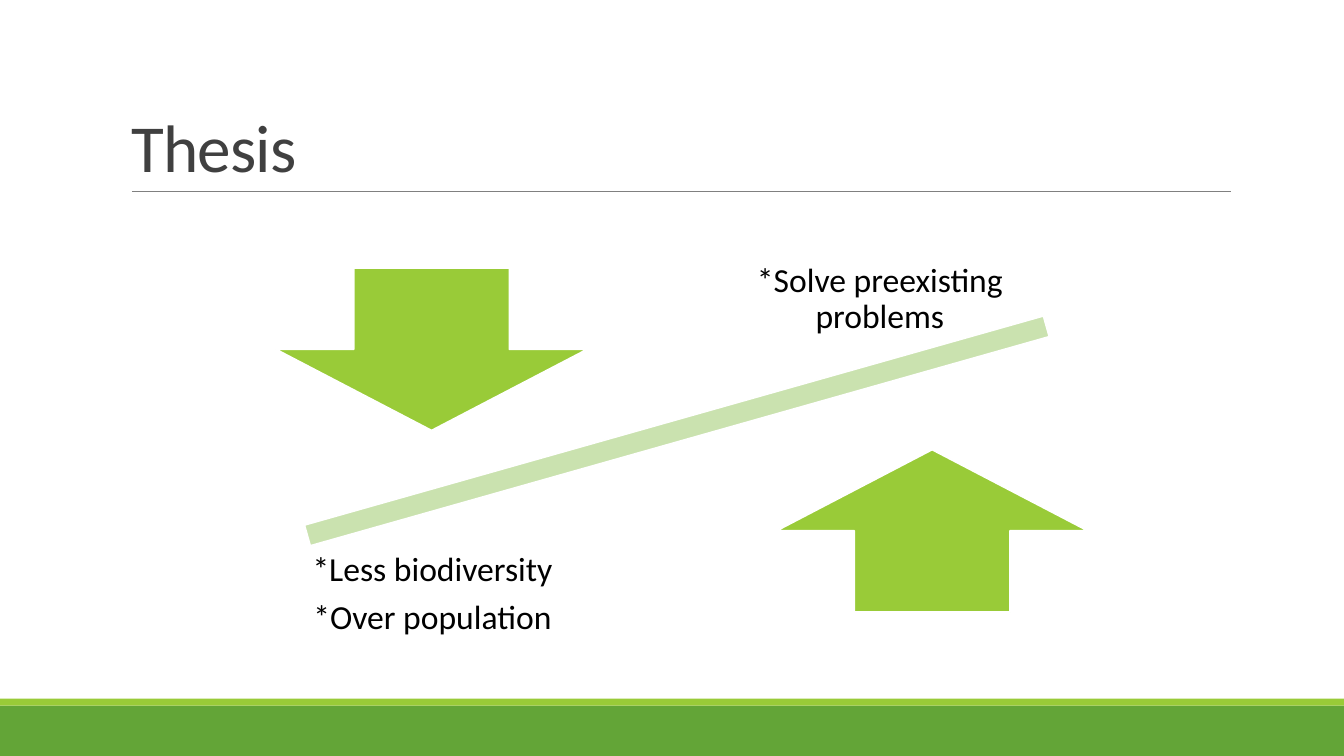
from lxml.etree import SubElement
from pptx import Presentation
from pptx.dml.color import RGBColor
from pptx.enum.shapes import MSO_CONNECTOR as Connector, MSO_SHAPE as Shape
from pptx.enum.text import MSO_ANCHOR as Anchor, PP_ALIGN as Align
from pptx.oxml.ns import qn
from pptx.util import Pt

FONT = "Calibri"
LIME = "99CB38"
GREEN = "63A537"
PALE_GREEN = "CAE2AF"
WHITE = "FFFFFF"


def color(value):
    """Turn a hex string into a colour."""
    return RGBColor.from_string(value)


def style_font(paragraph, size, value):
    """Set the font, size and colour of a paragraph."""
    paragraph.font.name = FONT
    paragraph.font.size = Pt(size)
    paragraph.font.color.rgb = color(value)


def add_figure(slide, kind, box, fill, outline=None, rotation=0):
    """Add a filled preset shape, outlined if a colour is given."""
    shape = slide.shapes.add_shape(kind, *map(Pt, box))
    shape.shadow.inherit = False
    shape.rotation = rotation
    shape.fill.solid()
    shape.fill.fore_color.rgb = color(fill)
    if outline:
        shape.line.color.rgb = color(outline)
        shape.line.width = Pt(1.25)
    else:
        shape.line.fill.background()


def add_rule(slide, left, right, top):
    """Add the thin grey rule under the title."""
    ends = map(Pt, (left, top, right, top))
    rule = slide.shapes.add_connector(Connector.STRAIGHT, *ends)
    rule.line.color.rgb = color("808080")
    rule.line.width = Pt(0.5)
    SubElement(rule._element.spPr, qn("a:effectLst"))


def set_title(slide, text, box):
    """Fill and format the title placeholder."""
    title = slide.shapes.title
    title.left, title.top, title.width, title.height = map(Pt, box)
    frame = title.text_frame
    frame.text = text
    frame.word_wrap = True
    frame.vertical_anchor = Anchor.BOTTOM
    paragraph = frame.paragraphs[0]
    paragraph.alignment = Align.LEFT
    paragraph.line_spacing = 0.85
    style_font(paragraph, 48, "404040")
    paragraph.runs[0]._r.get_or_add_rPr().set("spc", "-50")


def add_label(slide, lines, box):
    """Add a centred text box with one paragraph per line."""
    frame = slide.shapes.add_textbox(*map(Pt, box)).text_frame
    frame.word_wrap = True
    frame.vertical_anchor = Anchor.MIDDLE
    frame.margin_left = frame.margin_right = Pt(13.5)
    frame.margin_top = frame.margin_bottom = Pt(13.5)
    frame.text = "\n".join(lines)
    for paragraph in frame.paragraphs:
        paragraph.alignment = Align.CENTER
        paragraph.line_spacing = 0.9
        paragraph.space_after = Pt(8.4)
        style_font(paragraph, 24, "000000")


def main():
    """Build and save the thesis slide."""
    presentation = Presentation()
    presentation.slide_width, presentation.slide_height = Pt(960), Pt(540)
    slide = presentation.slides.add_slide(presentation.slide_layouts[5])

    add_figure(slide, Shape.RECTANGLE, (0, 504, 960, 36), GREEN)
    add_figure(slide, Shape.RECTANGLE, (0, 499, 960, 5), LIME)
    add_rule(slide, 94.3, 879, 136.6)
    set_title(slide, "Thesis", (86.4, 22.5, 792, 114.2))

    add_figure(slide, Shape.MATH_MINUS, (110.2, 275, 746.6, 65.5),
               PALE_GREEN, WHITE, 344.2)
    add_label(slide, ["*Solve preexisting problems"],
              (501.8, 145.4, 253.4, 136.8))
    add_label(slide, ["*Less biodiversity", "*Over population"],
              (182.2, 378, 253.4, 92.9))
    for left, top, rotation in ((554.6, 321.2, 0), (197, 191.5, 180)):
        add_figure(slide, Shape.UP_ARROW, (left, top, 222.5, 116),
                   LIME, WHITE, rotation)

    presentation.save("out.pptx")


if __name__ == "__main__":
    main()
